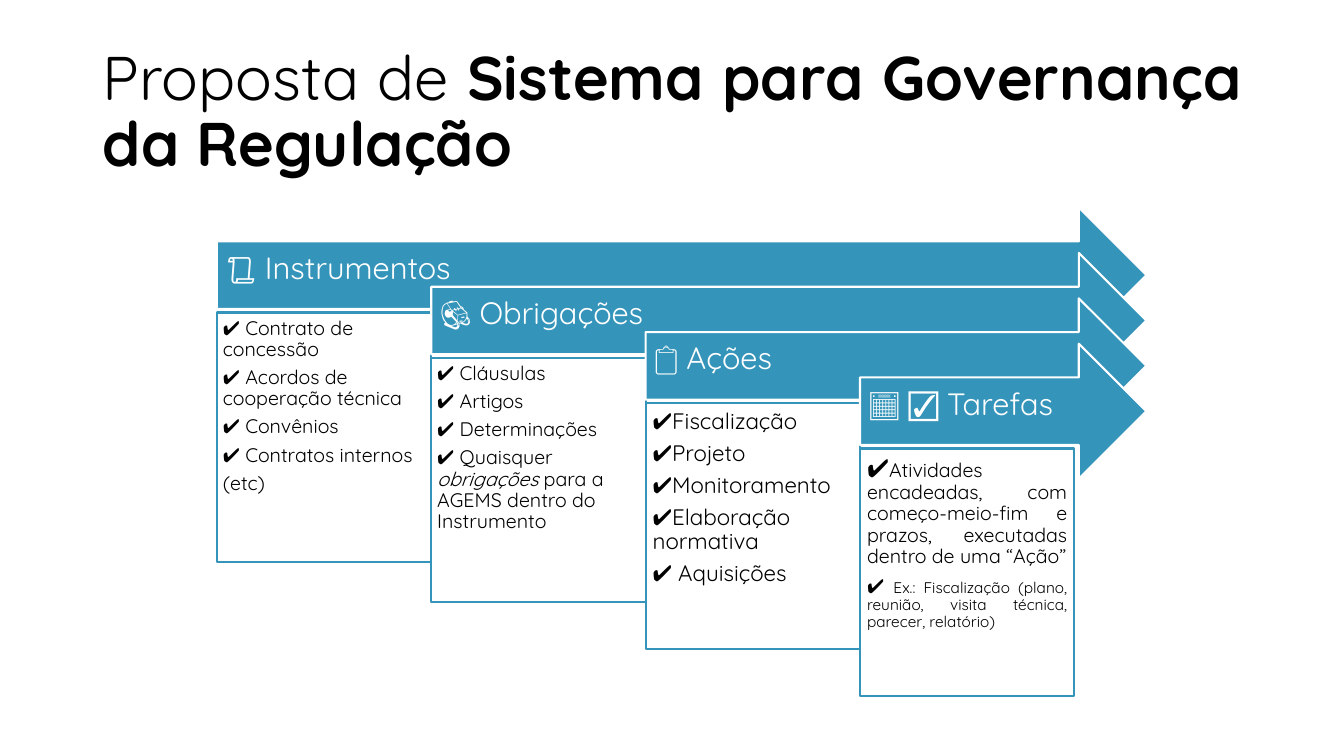
"""Builds the slide of four stepped arrows for the governance of regulation."""
from pptx import Presentation
from pptx.dml.color import RGBColor as RGB
from pptx.enum.shapes import MSO_SHAPE as Shape
from pptx.enum.text import MSO_ANCHOR as Anchor, MSO_AUTO_SIZE as Fit, PP_ALIGN as Align
from pptx.util import Inches, Pt

THEME = {
    "font": "Quicksand",
    "blue": RGB(0x34, 0x94, 0xBA),
    "white": RGB(0xFF, 0xFF, 0xFF),
    "black": RGB(0, 0, 0),
    "title": 44,
    "head": 22,
    "mark": 18,
    "large": 16,
    "body": 14,
    "small": 11,
}


def write(frame, paras, color, align, anchor, pads, gap):
    """Fill a text frame with paragraphs made of (text, size, format) runs."""
    frame.word_wrap = True
    frame.auto_size = Fit.NONE
    frame.vertical_anchor = anchor
    for side, pad in zip(("left", "top", "right", "bottom"), pads):
        setattr(frame, f"margin_{side}", Inches(pad))
    for i, runs in enumerate(paras):
        para = frame.add_paragraph() if i else frame.paragraphs[0]
        para.alignment = align
        para.line_spacing = 0.9
        para.space_before = Pt(0)
        para.space_after = Pt(gap * max(THEME[size] for _, size, _ in runs))
        for text, size, style in runs:
            run = para.add_run()
            run.text = text
            run.font.color.rgb = color
            look = {"name": THEME["font"], "size": Pt(THEME[size]), **style}
            for key, value in look.items():
                setattr(run.font, key, value)


def block(kind, left, top, width, height, fill, line):
    """Add a filled and outlined preset shape."""
    shape = slide.shapes.add_shape(kind, *map(Inches, (left, top, width, height)))
    shape.shadow.inherit = False
    shape.fill.solid()
    shape.fill.fore_color.rgb = THEME[fill]
    shape.line.color.rgb = THEME[line]
    shape.line.width = Pt(1.5)
    return shape


deck = Presentation()
deck.slide_width, deck.slide_height = Inches(13.33), Inches(7.5)
slide = deck.slides.add_slide(deck.slide_layouts[5])

title = slide.shapes.title
title.left, title.top, title.width, title.height = map(Inches, (0.92, 0.4, 11.5, 1.45))
words = [
    ("Proposta de ", "title", {"bold": False}),
    ("Sistema para Governança da Regulação", "title", {"bold": True}),
]
write(title.text_frame, [words], THEME["black"], Align.JUSTIFY, Anchor.MIDDLE,
      (0.1, 0.05, 0.1, 0.05), 0)

steps = [
    ("📜 Instrumentos", 2.48, 0.06, Align.LEFT, [
        [("✔️ Contrato de concessão", "body", {})],
        [("✔️ Acordos de cooperação técnica", "body", {})],
        [("✔️ Convênios", "body", {})],
        [("✔️ Contratos internos", "body", {})],
        [("(etc)", "body", {})],
    ]),
    ("📇 Obrigações", 2.42, 0.06, Align.LEFT, [
        [("✔️ Cláusulas", "body", {})],
        [("✔️ Artigos", "body", {})],
        [("✔️ Determinações", "body", {})],
        [("✔️ Quaisquer ", "body", {}),
         ("obrigações", "body", {"italic": True}),
         (" para a AGEMS dentro do Instrumento", "body", {})],
    ]),
    ("📋 Ações", 2.44, 0.07, Align.LEFT, [
        [("✔️Fiscalização", "large", {})],
        [("✔️Projeto", "large", {})],
        [("✔️Monitoramento", "large", {})],
        [("✔️Elaboração normativa", "large", {})],
        [("✔️ Aquisições", "large", {})],
    ]),
    ("📅 ☑️ Tarefas", 2.46, 0.07, Align.JUSTIFY, [
        [("✔️", "mark", {}),
         ("Atividades encadeadas, com começo-meio-fim e prazos, "
          "executadas dentro de uma “Ação”", "body", {})],
        [("✔️ ", "body", {}),
         ("Ex.: Fiscalização (plano, reunião, visita técnica, "
          "parecer, relatório)", "small", {})],
    ]),
]
LEFT, RIGHT, TOP = 2.15, 11.37, 2.06
WIDE, DROP = 6.38 / 3, 0.45

for i, (head, tall, pad, align, items) in enumerate(steps):
    x, y = LEFT + i * WIDE, TOP + i * DROP
    arrow = block(Shape.RIGHT_ARROW, x, y, RIGHT - x, 1.34, "blue", "white")
    write(arrow.text_frame, [[(head, "head", {})]], THEME["white"], Align.LEFT,
          Anchor.MIDDLE, (0.09, 0.09, 0.28, 0.21), 0.35)
    box = block(Shape.RECTANGLE, x, y + 1.04, WIDE, tall, "white", "blue")
    write(box.text_frame, items, THEME["black"], align, Anchor.TOP, [pad] * 4, 0.35)

deck.save("out.pptx")
